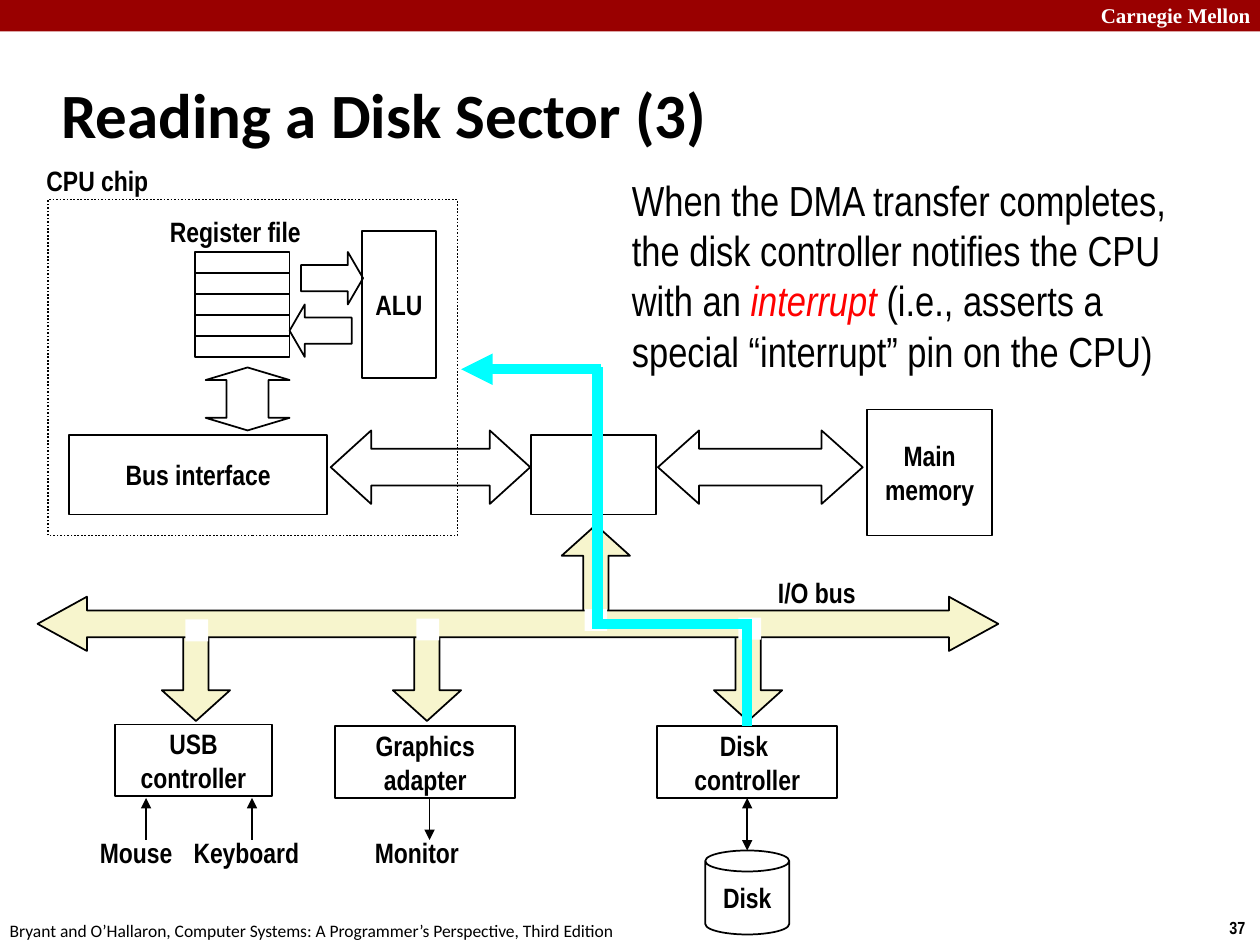
"""Build the slide on how a disk controller interrupts the CPU."""
import pptx
import pptx.util
import pptx.dml.color
import pptx.enum.dml
import pptx.enum.shapes
import pptx.enum.text
import pptx.oxml.ns
import lxml.etree

Pt = pptx.util.Pt
Kind = pptx.enum.shapes.MSO_SHAPE
Align = pptx.enum.text.PP_ALIGN
Anchor = pptx.enum.text.MSO_ANCHOR
qn = pptx.oxml.ns.qn
ink = {
    name: pptx.dml.color.RGBColor.from_string(code)
    for name, code in {
        "black": "000000", "white": "FFFFFF", "banner": "990000",
        "cream": "F7F5CD", "cyan": "00FFFF", "red": "FF0000",
    }.items()
}

deck = pptx.Presentation()
deck.slide_width, deck.slide_height = Pt(720), Pt(540)
slide = deck.slides.add_slide(deck.slide_layouts[6])
shapes = slide.shapes


def write(shape, lines, size=16, face="Arial Narrow", bold=True, color="black",
          align=Align.CENTER, anchor=Anchor.MIDDLE, wrap=False):
    frame = shape.text_frame
    frame.word_wrap = wrap
    frame.vertical_anchor = anchor
    for i, line in enumerate(lines):
        para = frame.add_paragraph() if i else frame.paragraphs[0]
        para.alignment = align
        for part in [line] if isinstance(line, str) else line:
            text, tint, slant = (part, color, None) if isinstance(part, str) else part
            run = para.add_run()
            run.text = text
            run.font.name, run.font.size = face, Pt(size)
            run.font.bold, run.font.italic = bold, slant
            run.font.color.rgb = ink[tint]


def draw(kind, box, fill=None, line="black", adjust=(), lines=()):
    shape = shapes.add_shape(kind, *map(Pt, box))
    shape.shadow.inherit = False
    if fill:
        shape.fill.solid()
        shape.fill.fore_color.rgb = ink[fill]
    else:
        shape.fill.background()
    if line:
        shape.line.width = Pt(1)
        shape.line.color.rgb = ink[line]
    else:
        shape.line.fill.background()
    for i, value in enumerate(adjust):
        shape.adjustments[i] = value
    if lines:
        write(shape, lines)
    return shape


draw(Kind.RECTANGLE, (0, 0, 720, 18), "banner", None)
notes = [
    ((622, -2, 103, 21.5), "Carnegie Mellon", 12, "Times New Roman", True, "white", Anchor.TOP),
    ((695.5, 520.5, 24.5, 19.5), "37", 10, "Arial Narrow", True, "black", Anchor.TOP),
    ((-1.5, 522, 366, 19.5),
     "Bryant and O’Hallaron, Computer Systems: A Programmer’s Perspective, Third Edition",
     10, "Calibri", False, "black", Anchor.TOP),
    ((28, 34.5, 598, 60), "Reading a Disk Sector (3)", 36, "Calibri", True, "black",
     Anchor.MIDDLE),
]
for box, text, size, face, bold, color, anchor in notes:
    write(shapes.add_textbox(*map(Pt, box)), [text], size, face, bold, color, Align.LEFT, anchor)

draw(Kind.RECTANGLE, (495.5, 234, 71.5, 72), lines=["Main", "memory"])
draw(Kind.LEFT_RIGHT_ARROW, (376, 246, 117, 42), adjust=(0.5, 0.56))
draw(Kind.RECTANGLE, (303.5, 248.5, 71.5, 45.5))
draw(Kind.LEFT_RIGHT_ARROW, (189, 246, 114, 42), adjust=(0.5, 0.55))
for row in range(5):
    draw(Kind.RECTANGLE, (111.5, 144 + 12 * row, 54, 12))
draw(Kind.RIGHT_ARROW, (172, 144, 35.5, 30), adjust=(0.5, 0.29))
draw(Kind.LEFT_ARROW, (165.5, 174, 35.5, 30), adjust=(0.5, 0.29))
draw(Kind.RECTANGLE, (207, 132, 42, 84), lines=["ALU"])
link = draw(Kind.UP_DOWN_ARROW, (117.5, 210, 48, 36))
guides = link._element.spPr.find(qn("a:prstGeom")).find(qn("a:avLst"))
for guide in list(guides):
    guides.remove(guide)
for name, value in [("adj1", 50000), ("adj2", 20000)]:
    lxml.etree.SubElement(guides, qn("a:gd"), name=name, fmla=f"val {value}")
chip = draw(Kind.RECTANGLE, (27.5, 114, 234, 192))
chip.line.dash_style = pptx.enum.dml.MSO_LINE.ROUND_DOT

draw(Kind.UP_ARROW, (321, 300, 39, 54), "cream", adjust=(0.37, 0.45))
units = [
    (408, (375.5, 415, 103, 41), ["Disk ", "controller"]),
    (224.5, (191.5, 415, 103, 41), ["Graphics", "adapter"]),
    (92.5, (65.5, 414, 90, 41), ["USB", "controller"]),
]
ports = []
for left, box, lines in units:
    draw(Kind.DOWN_ARROW, (left, 358, 39, 54), "cream", adjust=(0.37, 0.45))
    ports.append(draw(Kind.RECTANGLE, box, lines=lines))
port = ports[0]

draw(Kind.CAN, (403, 486, 48, 48), adjust=(0.25,), lines=["Disk"])
draw(Kind.LEFT_RIGHT_ARROW, (21.5, 341, 549, 31), "cream", adjust=(0.49, 0.91))
for left, top in [(106, 354), (238, 353.5), (422, 353), (334, 348)]:
    draw(Kind.RECTANGLE, (left, top, 13, 12.5), "white", None)

labels = [
    ((89, 119, 91, 26.5), "Register file", Align.CENTER),
    ((19.5, 90, 86, 26.5), "CPU chip", Align.LEFT),
    ((49.5, 474, 56.5, 26.5), "Mouse", Align.CENTER),
    ((103, 474, 75.5, 26.5), "Keyboard", Align.CENTER),
    ((206.5, 474, 63.5, 26.5), "Monitor", Align.CENTER),
    ((437.5, 325, 69, 26.5), "I/O bus", Align.LEFT),
]
for box, text, align in labels:
    write(shapes.add_textbox(*map(Pt, box)), [text], align=align)

wires = [
    ((83.5, 456, 83.5, 480), "black", 1, ["headEnd"], None, None),
    ((144, 456, 144, 480), "black", 1, ["headEnd"], None, None),
    ((245.5, 456, 245.5, 480), "black", 1, ["tailEnd"], None, None),
    ((427, 456, 427, 486), "black", 1, ["headEnd", "tailEnd"], port, None),
    ((343.5, 211, 263.5, 211), "cyan", 6, ["tailEnd"], None, None),
    ((341.5, 210, 341.5, 354), "cyan", 6, [], None, None),
    ((338.5, 356.5, 427, 356.5), "cyan", 6, [], None, None),
    ((427, 354, 427, 415), "cyan", 6, [], None, port),
]
for ends, color, width, tips, start, stop in wires:
    wire = shapes.add_connector(pptx.enum.shapes.MSO_CONNECTOR.STRAIGHT, *map(Pt, ends))
    wire.line.width = Pt(width)
    wire.line.color.rgb = ink[color]
    for tip in tips:
        lxml.etree.SubElement(wire.line._get_or_add_ln(), qn("a:" + tip), type="triangle")
    lxml.etree.SubElement(wire._element.spPr, qn("a:effectLst"))
    if start:
        wire.begin_connect(start, 2)
    if stop:
        wire.end_connect(stop, 0)

draw(Kind.RECTANGLE, (39.5, 248.5, 147.5, 45.5), lines=["Bus interface"])
body = shapes.add_textbox(Pt(354), Pt(96), Pt(342), Pt(124))
write(body, [[
    "When the DMA transfer completes, the disk controller notifies the CPU with an ",
    ("interrupt", "red", True),
    " (i.e., asserts a special “interrupt” pin on the CPU)",
]], 24, bold=False, align=Align.LEFT, anchor=Anchor.TOP, wrap=True)

deck.save("out.pptx")
